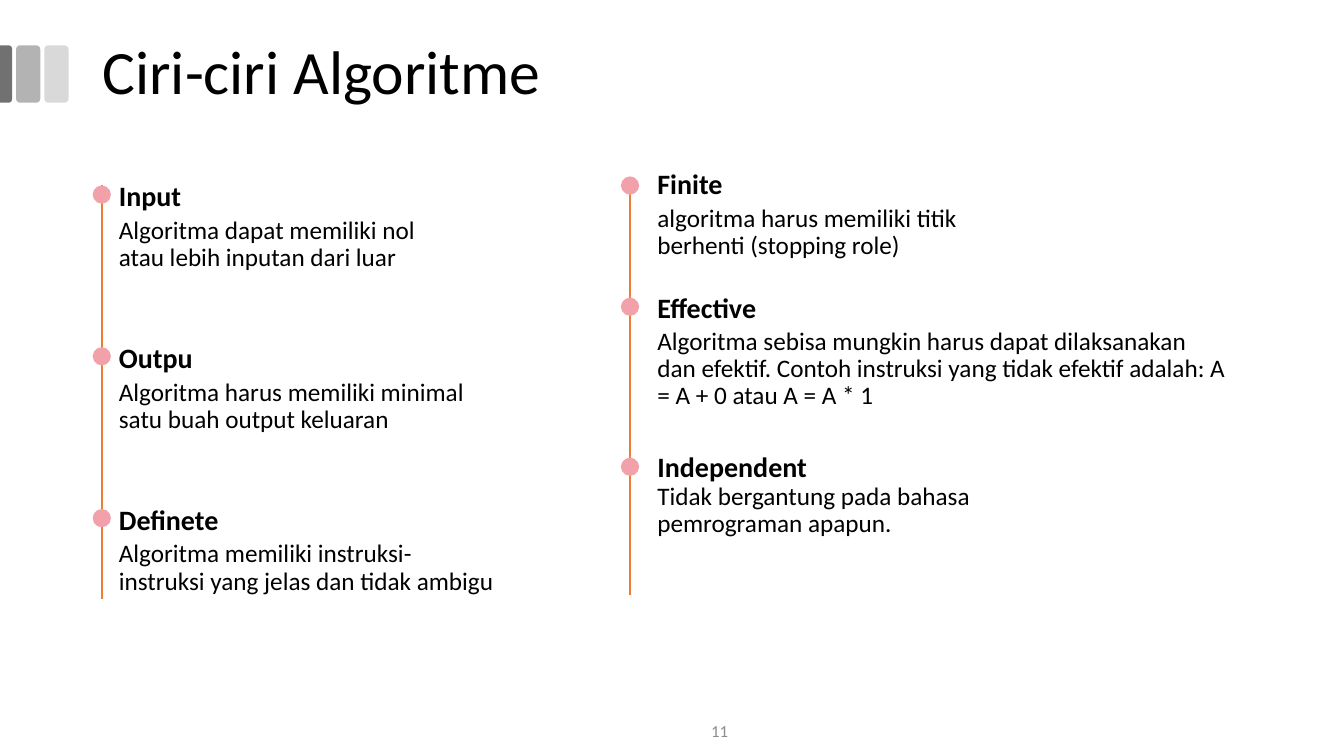
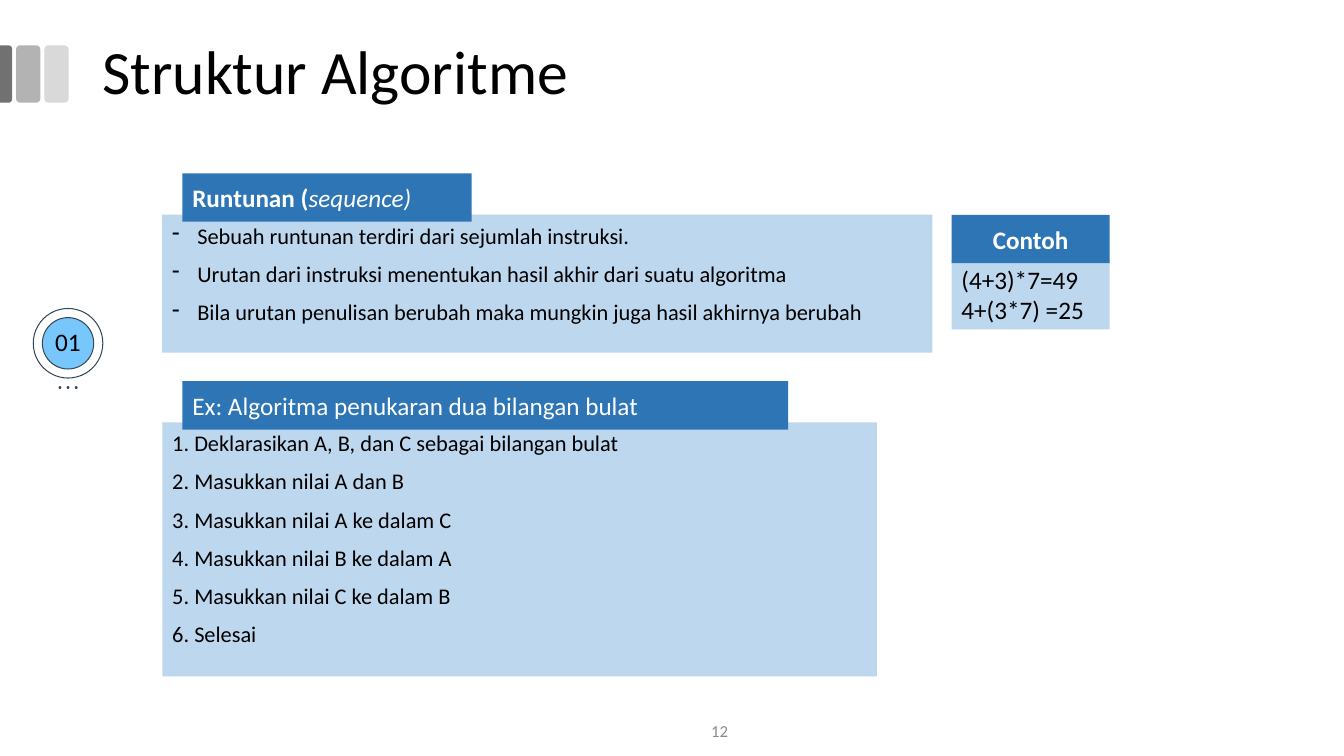
from lxml import etree
from pptx import Presentation
from pptx.dml.color import RGBColor
from pptx.enum.shapes import MSO_CONNECTOR, MSO_SHAPE
from pptx.enum.text import MSO_ANCHOR, PP_ALIGN
from pptx.oxml.ns import qn
from pptx.util import Pt

RECT, OVAL = MSO_SHAPE.RECTANGLE, MSO_SHAPE.OVAL
ROUNDED, ROUND_TOP = MSO_SHAPE.ROUNDED_RECTANGLE, MSO_SHAPE.ROUND_2_SAME_RECTANGLE
STRAIGHT = MSO_CONNECTOR.STRAIGHT
TOP, MIDDLE = MSO_ANCHOR.TOP, MSO_ANCHOR.MIDDLE
LEFT, CENTER = PP_ALIGN.LEFT, PP_ALIGN.CENTER

FONT = "Calibri"
BLACK = RGBColor(0x00, 0x00, 0x00)
WHITE = RGBColor(0xFF, 0xFF, 0xFF)
PAGE_GRAY = RGBColor(0x8C, 0x8C, 0x8C)
BAR_LIGHT = RGBColor(0xD9, 0xD9, 0xD9)
BAR_MID = RGBColor(0xB3, 0xB3, 0xB3)
BAR_DARK = RGBColor(0x71, 0x71, 0x71)
ORANGE = RGBColor(0xED, 0x7D, 0x31)
PINK = RGBColor(0xF2, 0xA0, 0xA9)
PALE_BLUE = RGBColor(0xBD, 0xD7, 0xEE)
STRONG_BLUE = RGBColor(0x2E, 0x75, 0xB6)
BADGE_BLUE = RGBColor(0x77, 0xC6, 0xFC)
SLATE = RGBColor(0x37, 0x49, 0x57)

INSET = 7.2
DOT = 13

TRAITS_TITLE, TRAITS_PAGE = "Ciri-ciri Algoritme", "11"
TIMELINES = [
    {"x": 72.7, "top": 132.5, "bottom": 427.7, "text_left": 77.8, "traits": [
        ("Input", "Algoritma dapat memiliki nol atau lebih inputan dari luar",
         132.5, 123.1, 148.3, 244),
        ("Outpu", "Algoritma harus memiliki minimal satu buah output keluaran",
         248, 239, 264.2, 284.4),
        ("Definete", "Algoritma memiliki instruksi-instruksi yang jelas dan tidak ambigu",
         363.6, 354.2, 379.4, 284.4),
    ]},
    {"x": 450, "top": 133.2, "bottom": 424.8, "text_left": 462.5, "traits": [
        ("Finite", "algoritma harus memiliki titik berhenti (stopping role)",
         126, 114.5, 139.7, 283.7),
        ("Effective", "Algoritma sebisa mungkin harus dapat dilaksanakan dan efektif. "
         "Contoh instruksi yang tidak efektif adalah: A = A + 0 atau A = A * 1",
         212.6, 203, 227.5, 420.5),
        ("Independent", "Tidak bergantung pada bahasa pemrograman apapun.",
         326.9, 316.8, 338.4, 293),
    ]},
]

STRUCTURE_TITLE, STRUCTURE_PAGE = "Struktur Algoritme", "12"
STEP_NUMBER = "01"
PANELS = [
    {"body_box": (115.9, 153.4, 550.1, 98.6), "header_box": (130.3, 123.8, 206.6, 34.6),
     "header": [("Runtunan (", True, False), ("sequence)", False, True)],
     "bullet": ("buChar", {"char": "-"}), "indent": 18,
     "lines": ["Sebuah runtunan terdiri dari sejumlah instruksi.",
               "Urutan dari instruksi menentukan hasil akhir dari suatu algoritma",
               "Bila urutan penulisan berubah maka mungkin juga hasil akhirnya berubah"]},
    {"body_box": (115.9, 301.7, 510.5, 181.4), "header_box": (130.3, 272.2, 432.7, 34.6),
     "header": [("Ex: Algoritma penukaran dua bilangan bulat", False, False)],
     "bullet": ("buAutoNum", {"type": "arabicPeriod"}), "indent": 15.75,
     "lines": ["Deklarasikan A, B, dan C sebagai bilangan bulat",
               "Masukkan nilai A dan B",
               "Masukkan nilai A ke dalam C",
               "Masukkan nilai B ke dalam A",
               "Masukkan nilai C ke dalam B",
               "Selesai"]},
]
EXAMPLE_HEADER = [("Contoh", True, False)]
EXAMPLE_LINES = ["(4+3)*7=49", "4+(3*7) =25"]


def add_block(slide, kind, box, fill, outline=None):
    block = slide.shapes.add_shape(kind, *map(Pt, box))
    block.shadow.inherit = False
    block.fill.solid()
    block.fill.fore_color.rgb = fill
    if outline is None:
        block.line.fill.background()
    else:
        block.line.color.rgb = outline
        block.line.width = Pt(0.75)
    return block


def add_label(slide, box):
    return slide.shapes.add_textbox(*map(Pt, box))


def write(holder, lines, size, color=BLACK, bold=False, align=LEFT, anchor=TOP,
          inset=INSET, spacing=0.9, before=0, bullet=None, indent=0):
    frame = holder.text_frame
    frame.word_wrap = True
    frame.vertical_anchor = anchor
    frame.margin_left = frame.margin_right = Pt(INSET)
    frame.margin_top = frame.margin_bottom = Pt(inset)
    for index, line in enumerate(lines):
        paragraph = frame.add_paragraph() if index else frame.paragraphs[0]
        paragraph.alignment = align
        paragraph.line_spacing = spacing
        if index and before:
            paragraph.space_before = Pt(before)
        if bullet:
            tag, attributes = bullet
            properties = paragraph._p.get_or_add_pPr()
            properties.set("marL", str(Pt(indent)))
            properties.set("indent", str(-Pt(indent)))
            etree.SubElement(properties, qn("a:" + tag), attributes)
        paragraph.font.name = FONT
        paragraph.font.size = Pt(size)
        paragraph.font.color.rgb = color
        if isinstance(line, str):
            paragraph.font.bold = bold
            paragraph.add_run().text = line
        else:
            for words, strong, slanted in line:
                run = paragraph.add_run()
                run.text = words
                run.font.bold = strong
                run.font.italic = slanted


def add_header(slide, box, header, align=LEFT):
    write(add_block(slide, RECT, box, STRONG_BLUE), [header], 18, WHITE,
          align=align, anchor=MIDDLE, inset=3.6, spacing=1)


def add_base_slide(deck, title, page):
    slide = deck.slides.add_slide(deck.slide_layouts[6])
    for left, color in ((31.7, BAR_LIGHT), (11.5, BAR_MID)):
        add_block(slide, ROUNDED, (left, 32.4, 17.3, 41), color)
    edge_bar = add_block(slide, ROUND_TOP, (-16.2, 48.6, 41, 8.6), BAR_DARK)
    edge_bar.rotation = 90
    edge_bar.adjustments[0] = 0.29
    write(add_label(slide, (66.2, 0.7, 828, 104.4)), [title], 44,
          anchor=MIDDLE, inset=3.6)
    write(add_label(slide, (406, 507.6, 216, 28.8)), [page], 12, PAGE_GRAY,
          align=CENTER, anchor=MIDDLE, inset=3.6, spacing=1)
    return slide


def add_timeline(slide, timeline):
    x, text_left = timeline["x"], timeline["text_left"]
    stem = slide.shapes.add_connector(
        STRAIGHT, Pt(x), Pt(timeline["top"]), Pt(x), Pt(timeline["bottom"]))
    stem.line.color.rgb = ORANGE
    stem.line.width = Pt(1.5)
    etree.SubElement(stem._element.spPr, qn("a:effectLst"))
    for name, detail, dot_top, name_top, detail_top, detail_width in timeline["traits"]:
        add_block(slide, OVAL, (x - DOT / 2, dot_top, DOT, DOT), PINK)
        write(add_label(slide, (text_left, name_top, 167, 31)), [name], 20, bold=True)
        write(add_label(slide, (text_left, detail_top, detail_width, 45.4)), [detail], 18)


def add_badge(slide):
    center_x, center_y = 48.6, 245.2
    for size, fill in ((49.7, WHITE), (36.7, BADGE_BLUE)):
        add_block(slide, OVAL, (center_x - size / 2, center_y - size / 2, size, size),
                  fill, SLATE)
    for step in (-1, 0, 1):
        add_block(slide, OVAL, (center_x + step * 5.8 - 1, 275.8, 2, 2), SLATE)
    write(add_label(slide, (center_x - 18, 231.8, 36, 27.4)), [STEP_NUMBER], 18,
          align=CENTER, anchor=MIDDLE)


def main():
    deck = Presentation()
    deck.slide_width, deck.slide_height = Pt(960), Pt(540)

    traits_slide = add_base_slide(deck, TRAITS_TITLE, TRAITS_PAGE)
    for timeline in TIMELINES:
        add_timeline(traits_slide, timeline)

    structure_slide = add_base_slide(deck, STRUCTURE_TITLE, STRUCTURE_PAGE)
    add_badge(structure_slide)
    for panel in PANELS:
        body = add_block(structure_slide, RECT, panel["body_box"], PALE_BLUE)
        write(body, panel["lines"], 16, before=10,
              bullet=panel["bullet"], indent=panel["indent"])
        add_header(structure_slide, panel["header_box"], panel["header"])
    example = add_block(structure_slide, RECT, (679.7, 185, 113, 50.4), PALE_BLUE)
    write(example, EXAMPLE_LINES, 18, inset=3.6, spacing=1)
    add_header(structure_slide, (679.7, 153.4, 113, 34.6), EXAMPLE_HEADER, CENTER)

    deck.save("out.pptx")


if __name__ == "__main__":
    main()
